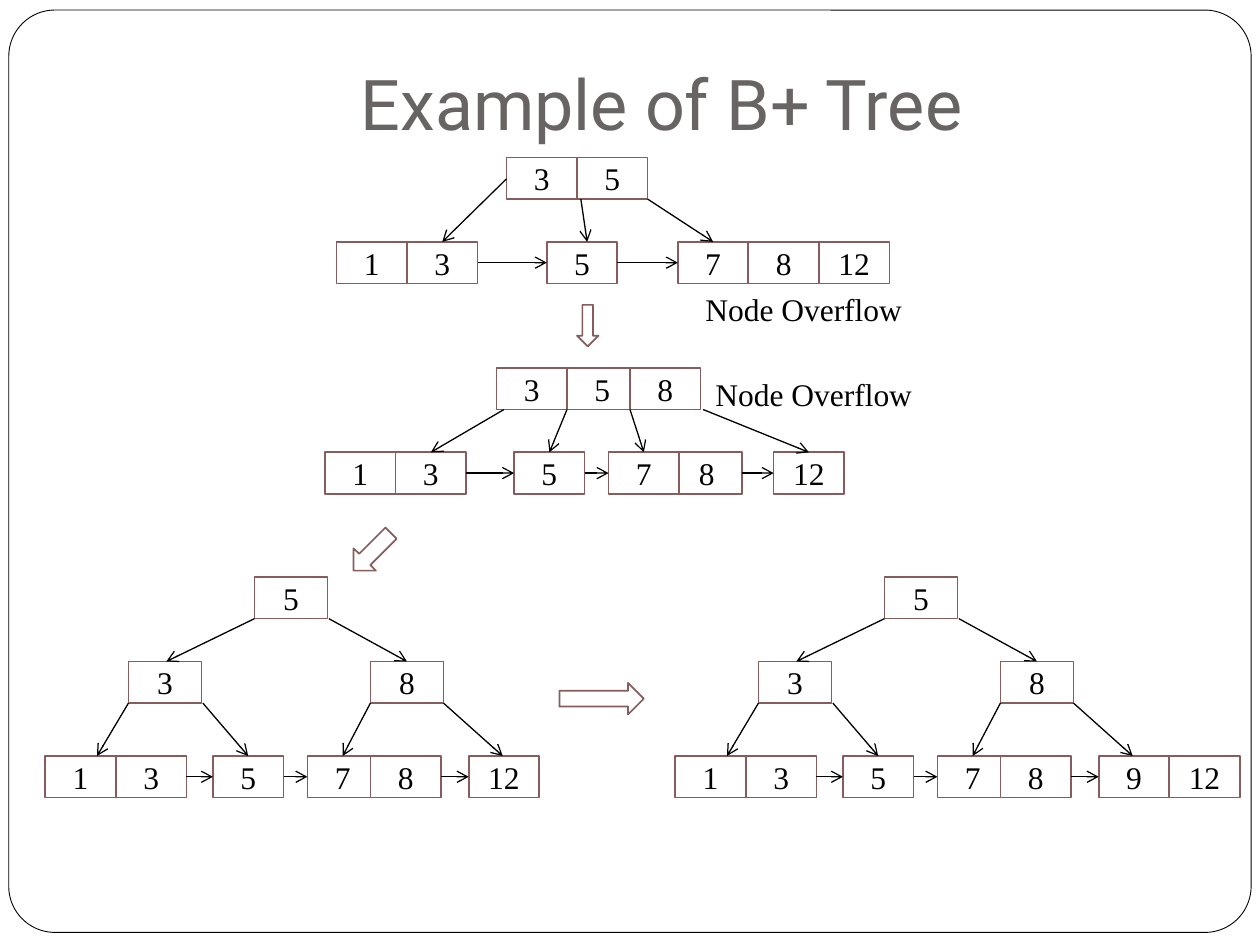
from itertools import pairwise

from lxml.etree import SubElement
from pptx import Presentation
from pptx.dml.color import RGBColor
from pptx.enum.shapes import MSO_CONNECTOR, MSO_SHAPE
from pptx.enum.text import MSO_ANCHOR, PP_ALIGN
from pptx.oxml.ns import qn
from pptx.util import Inches, Pt

COLORS = {"white": "FFFFFF", "black": "000000", "edge": "855D5D", "title": "696464"}
SERIF = "Times New Roman"
HIGH = 0.33
LEAF = 0.56
DROPS = (0, 0.67, 1.42)

FIRST = {
    "rows": [
        [(3, 1.35), (5, 1.91)],
        [(1, 0), (3, 0.56), (5, 1.67), (7, 2.71), (8, 3.27), (12, 3.83)],
    ],
    "links": [[(1.35, 0.84, 0.17), (1.94, 1.99, HIGH), (2.47, 2.99, HIGH)]],
    "wide": LEAF,
}
SECOND = {
    "rows": [
        [(3, 1.36), (5, 1.92), (8, 2.42)],
        [(1, 0), (3, 0.56), (5, 1.5), (8, 2.75), (7, 2.25), (12, 3.56)],
    ],
    "links": [[(1.42, 0.84, HIGH), (1.92, 1.78, HIGH),
               (2.42, 2.53, HIGH), (3, 3.84, HIGH)]],
    "wide": LEAF,
}
SPLIT = {
    "rows": [
        [(5, 1.66)],
        [(3, 0.66), (8, 2.58)],
        [(1, 0), (3, 0.56), (5, 1.33), (7, 2.08), (8, 2.58), (12, 3.36)],
    ],
    "links": [
        [(1.66, 0.96, HIGH), (2.25, 2.87, HIGH)],
        [(0.66, 0.41, HIGH), (1.25, 1.61, HIGH),
         (2.58, 2.36, HIGH), (3.16, 3.63, HIGH)],
    ],
    "wide": 0.58,
}
FINAL = SPLIT | {
    "rows": SPLIT["rows"][:2] + [SPLIT["rows"][2][:-1] + [(9, 3.36), (12, 3.92)]]
}


def color(name):
    """Return the named colour."""
    return RGBColor.from_string(COLORS[name])


def write(shape, text, size, font, tint, align):
    """Put one styled paragraph in a shape."""
    shape.text_frame.word_wrap = True
    line = shape.text_frame.paragraphs[0]
    line.text = text
    line.alignment = align
    line.font.size = Pt(size)
    line.font.name = font
    line.font.color.rgb = color(tint)


def draw(shapes, kind, box, edge="edge", weight=1):
    """Add a white outlined shape in the given box."""
    shape = shapes.add_shape(kind, *map(Inches, box))
    shape.shadow.inherit = False
    shape.fill.solid()
    shape.fill.fore_color.rgb = color("white")
    shape.line.color.rgb = color(edge)
    shape.line.width = Pt(weight)
    return shape


def cell(shapes, key, box):
    """Add one key cell of a node."""
    shape = draw(shapes, MSO_SHAPE.RECTANGLE, box)
    shape.text_frame.vertical_anchor = MSO_ANCHOR.MIDDLE
    write(shape, str(key), 18, SERIF, "black", PP_ALIGN.CENTER)


def arrow(shapes, *ends):
    """Add a thin pointer between two points."""
    link = shapes.add_connector(MSO_CONNECTOR.STRAIGHT, *map(Inches, ends))
    link.line.color.rgb = color("black")
    link.line.width = Pt(0.75)
    props = link.element.find(qn("p:spPr"))
    SubElement(props.find(qn("a:ln")), qn("a:tailEnd"), type="arrow")
    SubElement(props, qn("a:effectLst"))


def tree(slide, left, top, rows, links, wide):
    """Draw a tree with its cells, child pointers and leaf chain."""
    shapes = slide.shapes.add_group_shape().shapes
    for row, drop in zip(rows, DROPS):
        width = LEAF if row is rows[-1] else wide
        for key, x in row:
            cell(shapes, key, (left + x, top + drop, width, HIGH))
    for level, (drop, below) in zip(links, pairwise(DROPS)):
        for start, end, y in level:
            arrow(shapes, left + start, top + drop + y, left + end, top + below)
    mid = top + DROPS[len(rows) - 1] + HIGH / 2
    for x, after in pairwise(sorted(x for _, x in rows[-1])):
        if after - x > LEAF + 0.1:
            arrow(shapes, left + x + LEAF, mid, left + after, mid)


def label(slide, left, top):
    """Add a note about an overfull node."""
    box = slide.shapes.add_textbox(*map(Inches, (left, top, 1.83, 0.4)))
    write(box, "Node Overflow", 18, SERIF, "black", PP_ALIGN.LEFT)


def header(slide, box):
    """Add the slide title."""
    title = slide.shapes.add_textbox(*map(Inches, box))
    title.text_frame.vertical_anchor = MSO_ANCHOR.BOTTOM
    title.text_frame.margin_bottom = Inches(0.1)
    write(title, "Example of B+ Tree", 40, "Roboto", "title", PP_ALIGN.CENTER)


def main():
    """Build and save the slide."""
    deck = Presentation()
    deck.slide_width, deck.slide_height = Inches(10), Inches(7.5)
    slide = deck.slides.add_slide(deck.slide_layouts[6])
    shapes = slide.shapes
    frame = draw(shapes, MSO_SHAPE.ROUNDED_RECTANGLE,
                 (0.07, 0.08, 9.86, 7.32), "black", 0.5)
    frame.adjustments[0] = 0.05
    header(slide, (1, 0.3, 8.5, 0.95))
    draw(shapes, MSO_SHAPE.DOWN_ARROW, (4.58, 2.42, 0.17, 0.33))
    label(slide, 5.58, 2.93)
    label(slide, 5.5, 2.25)
    tree(slide, 2.67, 1.25, **FIRST)
    tree(slide, 2.58, 2.92, **SECOND)
    tree(slide, 0.36, 4.58, **SPLIT)
    turn = draw(shapes, MSO_SHAPE.DOWN_ARROW, (2.83, 4.17, 0.25, 0.42))
    turn.rotation = 45
    tree(slide, 5.36, 4.58, **FINAL)
    draw(shapes, MSO_SHAPE.RIGHT_ARROW, (4.44, 5.42, 0.67, 0.25))
    deck.save("out.pptx")


if __name__ == "__main__":
    main()
